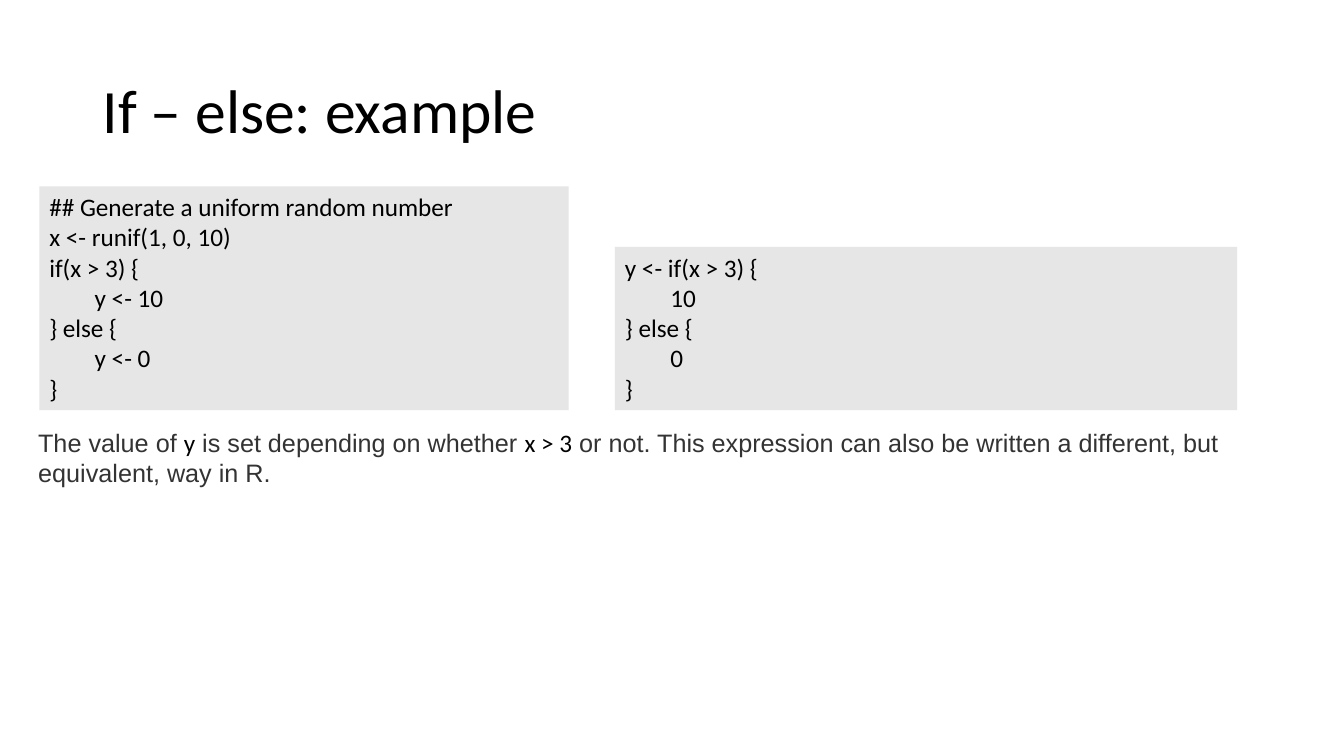
from pptx import Presentation
from pptx.dml.color import RGBColor
from pptx.enum.shapes import MSO_SHAPE
from pptx.enum.text import MSO_ANCHOR, PP_ALIGN
from pptx.util import Inches, Pt

# Content
TITLE = "If – else: example"
# Each code line is (indent level, text)
ASSIGN_INSIDE = [
    (0, "## Generate a uniform random number"),
    (0, "x <- runif(1, 0, 10)"),
    (0, "if(x > 3) {"),
    (1, "y <- 10"),
    (0, "} else {"),
    (1, "y <- 0"),
    (0, "}"),
]
ASSIGN_RESULT = [
    (0, "y <- if(x > 3) {"),
    (1, "10"),
    (0, "} else {"),
    (1, "0"),
    (0, "}"),
]
# Each part of the explanation is (style, text)
EXPLANATION = [
    ("prose", "The value of "),
    ("code", "y"),
    ("prose", " is set depending on whether "),
    ("code", "x > 3"),
    ("prose", " or not. This expression can also be written a different, "
              "but equivalent, way in R."),
]

# Look and layout
COLORS = {"code": "000000", "prose": "333333", "panel": "E7E6E6"}
FONTS = {"code": "Calibri", "prose": "Arial"}
CODE_BOTTOM = 4.07
CODE_INDENT = 0.45
CODE_PANELS = [  # left, width, height, lines
    (0.39, 5.25, 2.22, ASSIGN_INSIDE),
    (6.1, 6.17, 1.62, ASSIGN_RESULT),
]


def add_run(paragraph, text, style, size=18):
    run = paragraph.add_run()
    run.text = text
    run.font.name = FONTS[style]
    run.font.size = Pt(size)
    run.font.color.rgb = RGBColor.from_string(COLORS[style])


def add_text_box(slide, left, top, width, height):
    text_frame = slide.shapes.add_textbox(
        Inches(left), Inches(top), Inches(width), Inches(height)).text_frame
    text_frame.word_wrap = True
    return text_frame


def add_code_panel(slide, left, width, height, lines):
    panel = slide.shapes.add_shape(
        MSO_SHAPE.RECTANGLE, Inches(left), Inches(CODE_BOTTOM - height),
        Inches(width), Inches(height))
    panel.shadow.inherit = False
    panel.fill.solid()
    panel.fill.fore_color.rgb = RGBColor.from_string(COLORS["panel"])
    panel.line.fill.background()
    text_frame = panel.text_frame
    text_frame.word_wrap = True
    text_frame.vertical_anchor = MSO_ANCHOR.TOP
    for index, (level, text) in enumerate(lines):
        paragraph = text_frame.add_paragraph() if index else text_frame.paragraphs[0]
        paragraph.alignment = PP_ALIGN.LEFT
        if level:
            properties = paragraph._p.get_or_add_pPr()
            properties.set("marL", str(Inches(CODE_INDENT * level)))
        add_run(paragraph, text, "code")


def main():
    presentation = Presentation()
    presentation.slide_width = Inches(13.33)
    presentation.slide_height = Inches(7.5)
    slide = presentation.slides.add_slide(presentation.slide_layouts[6])

    # Title
    title_frame = add_text_box(slide, 0.92, 0.4, 11.5, 1.45)
    title_frame.vertical_anchor = MSO_ANCHOR.MIDDLE
    title_frame.paragraphs[0].line_spacing = 0.9
    add_run(title_frame.paragraphs[0], TITLE, "code", 44)

    # Code panels, aligned at the bottom
    for panel in CODE_PANELS:
        add_code_panel(slide, *panel)

    # Explanation
    explanation_frame = add_text_box(slide, 0.28, 4.19, 12.79, 0.71)
    for style, text in EXPLANATION:
        add_run(explanation_frame.paragraphs[0], text, style)

    presentation.save("out.pptx")


if __name__ == "__main__":
    main()
